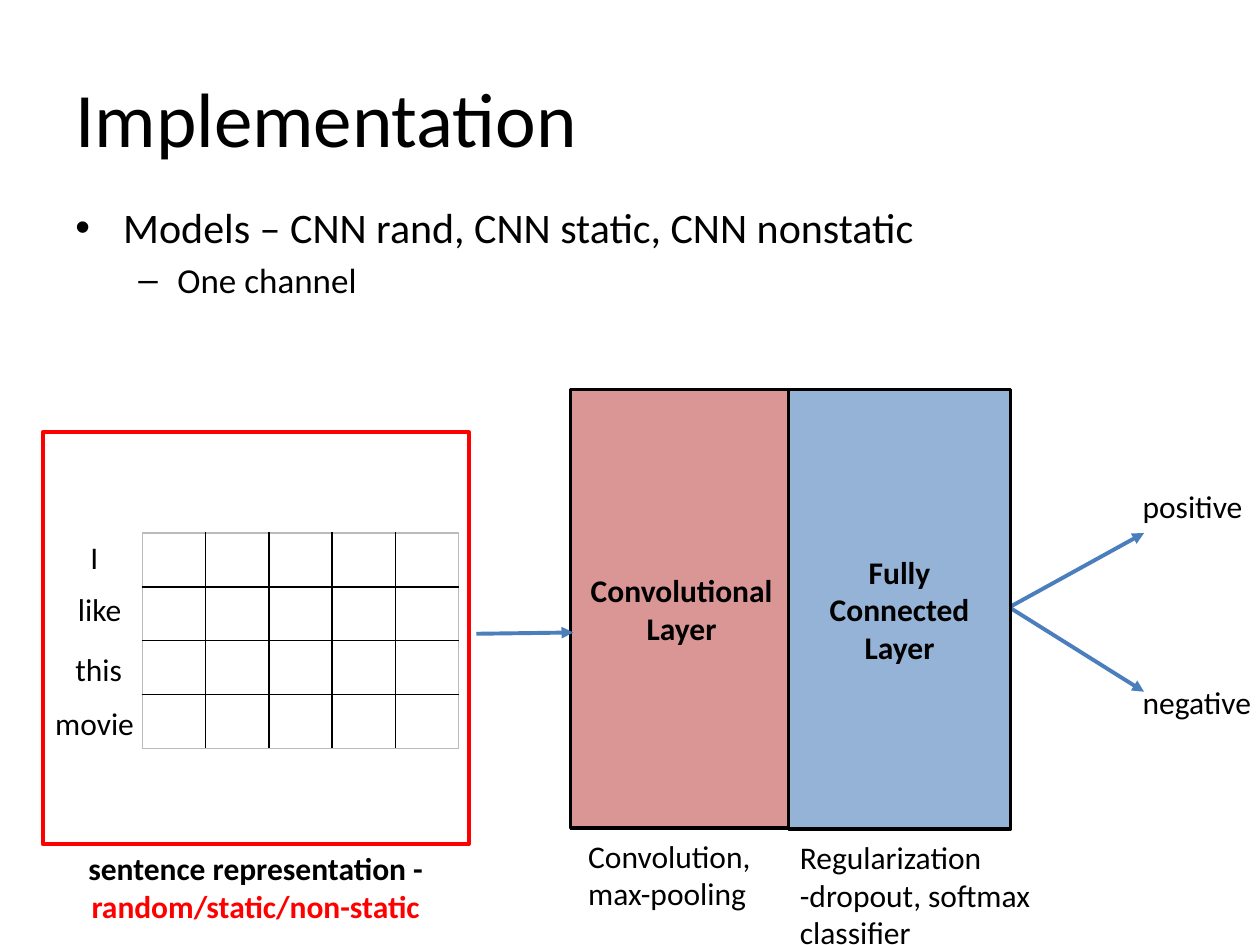
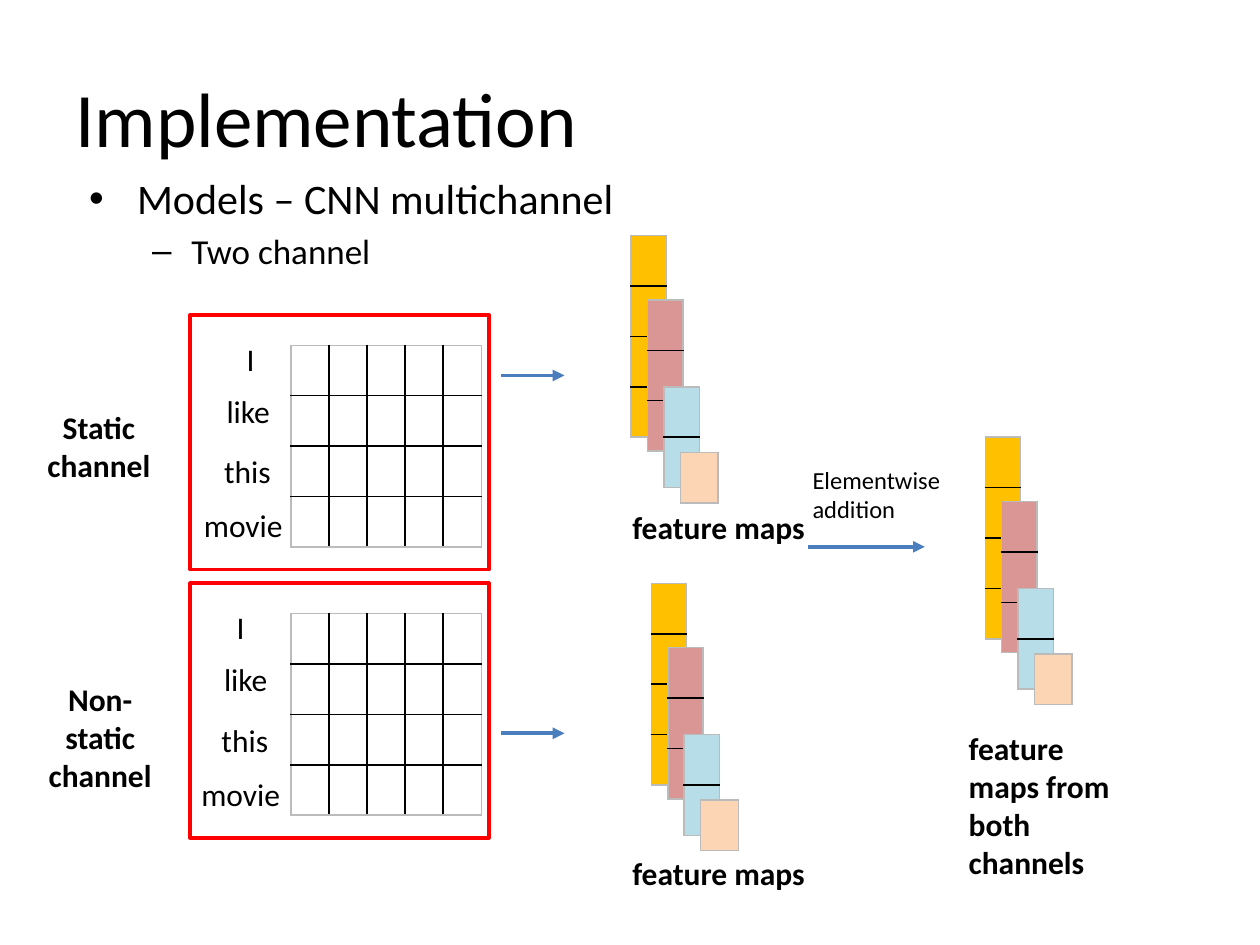
from lxml.etree import SubElement
from pptx import Presentation
from pptx.dml.color import RGBColor
from pptx.enum.shapes import MSO_CONNECTOR, MSO_SHAPE
from pptx.enum.text import MSO_ANCHOR as Anchor, PP_ALIGN as Align
from pptx.oxml.ns import qn
from pptx.util import Inches, Pt

FONT = "Calibri"
COLORS = {
    "text": "000000",
    "highlight": "FF0000",
    "arrow": "4B7EBC",
    "grid": "000000",
    "edge": "BBBBBB",
    "convolution": "D99694",
    "connected": "95B3D7",
}
WORDS = ["I", "like", "this", "movie"]
WORD_OFFSETS = [(0.28, 0), (0.18, 0.41), (0.16, 0.89), (0, 1.32)]
# Fill, rows, horizontal and vertical offset, width
FEATURE_MAPS = [
    ("FFC000", 4, 0, 0, 0.28),
    ("D99694", 3, 0.13, 0.51, 0.28),
    ("B7DEE8", 2, 0.26, 1.2, 0.28),
    ("FCD5B5", 1, 0.39, 1.72, 0.3),
]


def rgb(name):
    return RGBColor.from_string(COLORS.get(name, name))


def write_lines(frame, lines, size=18, bold=False, align=Align.LEFT):
    frame.text = "\n".join(lines)
    for para in frame.paragraphs:
        para.alignment = align
        for span in para.runs:
            font = span.font
            font.name, font.size, font.bold = FONT, Pt(size), bold
            font.color.rgb = rgb("text")


def add_text(page, at, *lines, wrap=True, **style):
    box = page.shapes.add_textbox(*map(Inches, at))
    box.text_frame.word_wrap = wrap
    write_lines(box.text_frame, lines, **style)
    return box


def add_heading(page):
    box = add_text(page, (0.5, 0.3, 9, 1.25), "Implementation", size=44)
    box.text_frame.vertical_anchor = Anchor.MIDDLE


def add_bullets(page, at, *lines):
    """Write one first-level bullet followed by one second-level bullet."""
    box = add_text(page, at, *lines)
    levels = [("•", 24, 0.38, 0.38), ("–", 20, 0.81, 0.31)]
    for para, (mark, size, margin, hanging) in zip(box.text_frame.paragraphs, levels):
        para.space_before = Pt(size * 0.2)
        para.runs[0].font.size = Pt(size)
        properties = para._p.get_or_add_pPr()
        properties.set("marL", str(Inches(margin)))
        properties.set("indent", str(-Inches(hanging)))
        SubElement(properties, qn("a:buFont"), typeface="Arial")
        SubElement(properties, qn("a:buChar"), char=mark)


def add_rectangle(page, at, line, width, fill=None):
    box = page.shapes.add_shape(MSO_SHAPE.RECTANGLE, *map(Inches, at))
    box.shadow.inherit = False
    box.line.color.rgb = rgb(line)
    box.line.width = Pt(width)
    if fill:
        box.fill.solid()
        box.fill.fore_color.rgb = rgb(fill)
    else:
        box.fill.background()
    return box


def add_layer(page, at, fill, *lines):
    box = add_rectangle(page, at, "text", 2, fill)
    box.text_frame.word_wrap = True
    box.text_frame.vertical_anchor = Anchor.MIDDLE
    write_lines(box.text_frame, lines, bold=True, align=Align.CENTER)


def add_arrow(page, *ends):
    arrow = page.shapes.add_connector(MSO_CONNECTOR.STRAIGHT, *map(Inches, ends))
    arrow.line.color.rgb = rgb("arrow")
    arrow.line.width = Pt(2.25)
    SubElement(arrow.line._get_or_add_ln(), qn("a:tailEnd"), type="triangle")
    SubElement(arrow._element.spPr, qn("a:effectLst"))


def set_borders(cell, outer_sides):
    """Draw grey lines on the outer sides of the table and black ones inside."""
    properties = cell._tc.get_or_add_tcPr()
    for position, (side, outer) in enumerate(zip("LRTB", outer_sides)):
        line = SubElement(properties, qn(f"a:ln{side}"), w=str(Pt(1)))
        fill = SubElement(line, qn("a:solidFill"))
        SubElement(fill, qn("a:srgbClr"), val=COLORS["edge" if outer else "grid"])
        properties.insert(position, line)


def add_grid(page, at, rows, columns, fill=None):
    table = page.shapes.add_table(rows, columns, *map(Inches, at)).table
    table.first_row = table.horz_banding = False
    for row in range(rows):
        for column in range(columns):
            cell = table.cell(row, column)
            cell.margin_top = cell.margin_bottom = 0
            if fill:
                cell.fill.solid()
                cell.fill.fore_color.rgb = rgb(fill)
            else:
                cell.fill.background()
            set_borders(cell, (column == 0, column == columns - 1,
                               row == 0, row == rows - 1))


def add_sentence_matrix(page, frame, words_at, grid, first_shift=0):
    """Frame a grid that has one row for each word of the sentence."""
    add_rectangle(page, frame, "highlight", 2.25)
    left, top = words_at
    for index, (word, (right, down)) in enumerate(zip(WORDS, WORD_OFFSETS)):
        shift = first_shift if index == 0 else 0
        add_text(page, (left + right + shift, top + down, 0.83, 0.4), word, wrap=True)
    add_grid(page, grid, len(WORDS), 5)


def add_feature_maps(page, left, top):
    for fill, rows, right, down, width in FEATURE_MAPS:
        add_grid(page, (left + right, top + down, width, 0.4 * rows), rows, 1, fill)


def build_single_channel(page):
    add_heading(page)
    add_bullets(page, (0.5, 1.55, 9, 4.95),
                "Models – CNN rand, CNN static, CNN nonstatic", "One channel")

    for label, width, top, arrow_end in [("positive", 1.06, 3.82, 4.23),
                                         ("negative", 1.19, 5.37, 5.49)]:
        add_text(page, (8.97, top, width, 0.4), label)
        add_arrow(page, 8.01, 4.82, 9.08, arrow_end)

    add_sentence_matrix(page, (0.34, 3.43, 3.38, 3.27), (0.34, 4.22),
                        (1.13, 4.23, 2.51, 1.71))
    caption = add_text(page, (0.58, 6.69, 2.9, 0.71), "sentence representation -",
                       "random/static/non-static", wrap=False, bold=True,
                       align=Align.CENTER)
    caption.text_frame.paragraphs[1].runs[0].font.color.rgb = rgb("highlight")

    add_text(page, (4.57, 6.59, 1.85, 0.71), "Convolution, max-pooling")
    add_text(page, (6.25, 6.6, 2.06, 1.01),
             "Regularization -dropout, softmax classifier")
    add_layer(page, (4.53, 3.09, 1.76, 3.48), "convolution", "Convolutional", "Layer")
    add_layer(page, (6.26, 3.09, 1.76, 3.49), "connected", "Fully Connected", "Layer")
    add_arrow(page, 3.78, 5.03, 4.55, 5.02)


def build_multichannel(page):
    add_heading(page)
    add_bullets(page, (0.61, 1.32, 8.62, 4.76),
                "Models – CNN multichannel", "Two channel")

    for top, words_left, first_shift in [(2.5, 1.52, 0.06), (4.63, 1.5, 0)]:
        add_sentence_matrix(page, (1.51, top, 2.37, 2.02), (words_left, top + 0.15),
                            (2.31, top + 0.24, 1.51, 1.6), first_shift)
    add_text(page, (0.08, 3.19, 1.41, 0.71), "Static channel",
             bold=True, align=Align.CENTER)
    add_text(page, (0.12, 5.35, 1.35, 1.01), "Non-", "static channel",
             bold=True, align=Align.CENTER)

    for ends in [(3.98, 2.98, 4.48, 2.98), (3.98, 5.82, 4.48, 5.82),
                 (6.41, 4.34, 7.34, 4.34)]:
        add_arrow(page, *ends)
    for left, top in [(5.01, 1.87), (5.17, 4.63), (7.82, 3.47)]:
        add_feature_maps(page, left, top)

    for top in (3.98, 6.73):
        add_text(page, (4.92, top, 1.6, 0.4), "feature maps", wrap=False, bold=True)
    add_text(page, (7.59, 5.74, 1.43, 1.31), "feature maps from both channels", bold=True)
    add_text(page, (6.35, 3.64, 1.31, 0.57), "Elementwise addition", size=14)


def main():
    deck = Presentation()
    deck.slide_width, deck.slide_height = Inches(10), Inches(7.5)
    for build in (build_single_channel, build_multichannel):
        build(deck.slides.add_slide(deck.slide_layouts[6]))
    deck.save("out.pptx")


if __name__ == "__main__":
    main()
